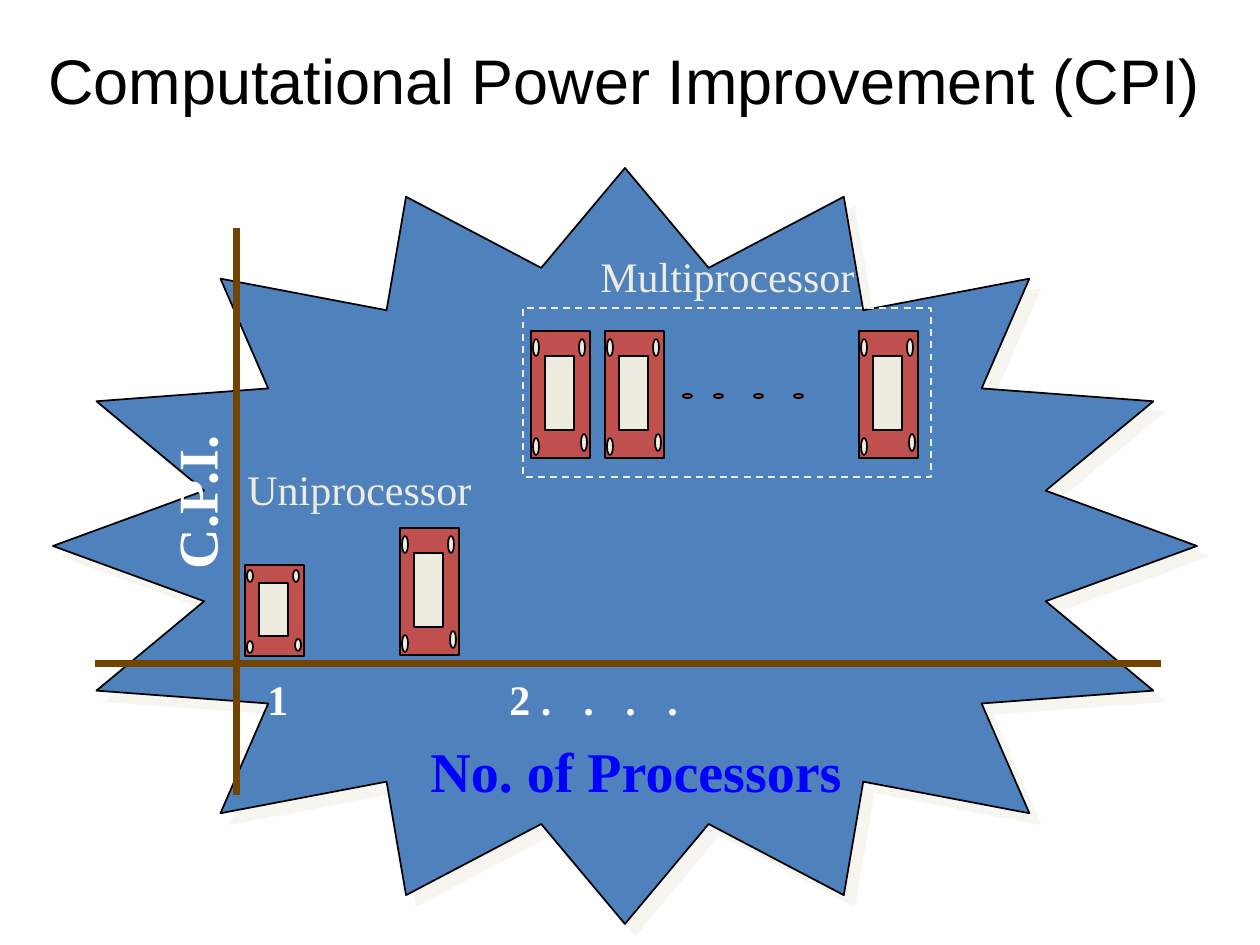
from lxml import etree
from pptx import Presentation
from pptx.dml.color import RGBColor
from pptx.enum.dml import MSO_LINE
from pptx.enum.shapes import MSO_CONNECTOR, MSO_SHAPE
from pptx.enum.text import MSO_ANCHOR, MSO_AUTO_SIZE, PP_ALIGN
from pptx.oxml.ns import qn
from pptx.util import Pt

STAR, RECT, OVAL = MSO_SHAPE.STAR_16_POINT, MSO_SHAPE.RECTANGLE, MSO_SHAPE.OVAL
LINE, DASH = MSO_CONNECTOR.STRAIGHT, MSO_LINE.DASH
MIDDLE, CENTER = MSO_ANCHOR.MIDDLE, PP_ALIGN.CENTER
GROW, FIXED = MSO_AUTO_SIZE.SHAPE_TO_FIT_TEXT, MSO_AUTO_SIZE.NONE

SCALE = 914400 / 126
SERIF = "Times New Roman"
COLOR = {"star": "4F81BD", "chip": "C0504D", "pale": "EEECE1", "axis": "714400",
         "blue": "0000FF", "white": "FFFFFF", "black": "000000"}


def px(n):
    return round(n * SCALE)


def rgb(name):
    return RGBColor.from_string(COLOR[name])


def add_shape(shapes, kind, x, y, w, h, fill=None, line="black"):
    shape = shapes.add_shape(kind, px(x), px(y), px(w), px(h))
    shape.shadow.inherit = False
    if fill:
        shape.fill.solid()
        shape.fill.fore_color.rgb = rgb(fill)
    else:
        shape.fill.background()
    shape.line.color.rgb = rgb(line)
    shape.line.width = Pt(1)
    return shape


def add_text(slide, text, x, y, w, h, color, size=24, bold=False, name=SERIF,
             wrap=False):
    box = slide.shapes.add_textbox(px(x), px(y), px(w), px(h))
    frame = box.text_frame
    frame.word_wrap = wrap
    frame.auto_size = FIXED if wrap else GROW
    run = frame.paragraphs[0].add_run()
    run.text = text
    style = {"name": name, "size": Pt(size), "bold": bold}
    for key, value in style.items():
        setattr(run.font, key, value)
    run.font.color.rgb = rgb(color)
    return box


def add_tabs(para, stops):
    tabs = etree.SubElement(para._p.get_or_add_pPr(), qn("a:tabLst"))
    for stop in stops:
        etree.SubElement(tabs, qn("a:tab"), pos=str(px(stop)), algn="l")


def add_star(slide, x, y, w, h):
    star = add_shape(slide.shapes, STAR, x, y, w, h, "star")
    star.adjustments[0] = 0.375
    effects = star._element.spPr.find(qn("a:effectLst"))
    cast = etree.SubElement(effects, qn("a:outerShdw"), dist=str(Pt(8.5)),
                            dir="2700000", algn="ctr", rotWithShape="0")
    tint = etree.SubElement(cast, qn("a:srgbClr"), val=COLOR["pale"])
    etree.SubElement(tint, qn("a:alpha"), val="50000")


def add_axis(slide, x1, y1, x2, y2):
    axis = slide.shapes.add_connector(LINE, px(x1), px(y1), px(x2), px(y2))
    axis.line.color.rgb = rgb("axis")
    axis.line.width = Pt(4)
    etree.SubElement(axis._element.spPr, qn("a:effectLst"))


def add_axes(slide, x, y, w, h):
    add_axis(slide, x + 142, y + h, x + 142, y)
    add_axis(slide, x, y + 436, x + w, y + 436)
    # Axis names and scale
    add_text(slide, "No. of Processors", x + 323, y + 502, 437, 79, "blue", 32, True)
    side = add_text(slide, "C.P.I.", x + 18, y + 232, 164, 79, "white", 32, True)
    side.rotation = 270
    # The box is wide enough to hold the last tab stop on one line
    marks = add_text(slide, "1\t2 .\t.\t.\t.", x + 160, y + 439, 480, 63,
                     "white", bold=True, wrap=True)
    add_tabs(marks.text_frame.paragraphs[0], [242, 316, 358, 400])


def add_title(slide, x, y, w, h):
    box = add_text(slide, "Computational Power Improvement (CPI)", x, y, w, h,
                   "black", 36, name="Arial", wrap=True)
    frame = box.text_frame
    frame.vertical_anchor = MIDDLE
    frame.paragraphs[0].alignment = CENTER


def add_chip(slide, x, y, w, h):
    parts = slide.shapes.add_group_shape().shapes
    add_shape(parts, RECT, x, y, w, h, "chip")
    add_shape(parts, RECT, x + 14, y + round(0.2 * h), 29, round(0.58 * h), "pale")
    # Corner holes: left offset, top as a share of the height
    for dx, part in ((48, 0.06), (50, 0.81), (2, 0.06), (2, 0.84)):
        add_shape(parts, OVAL, x + dx, y + round(part * h), 6, round(0.13 * h), "pale")


def add_uni(slide, x, y):
    add_chip(slide, x + 10, y + 108, 59, 91)
    add_chip(slide, x + 165, y + 71, 59, 127)
    add_text(slide, "Uniprocessor", x, y, 249, 63, "pale")


def add_multi(slide, x, y, w, h):
    for dx in (8, 82, 336):
        add_chip(slide, x + dx, y + 23, 59, 127)
    # Dots between the chips
    dots = slide.shapes.add_group_shape().shapes
    for dx in (160, 191, 231, 271):
        add_shape(dots, OVAL, x + dx, y + 86, 9, 4, "chip")
    frame = add_shape(slide.shapes, RECT, x, y, w, h, line="pale")
    frame.line.dash_style = DASH
    add_text(slide, "Multiprocessor", x + 65, y - 64, 280, 63, "pale")


def main():
    deck = Presentation()
    deck.slide_width, deck.slide_height = px(1260), px(945)
    slide = deck.slides.add_slide(deck.slide_layouts[6])
    add_star(slide, 53, 168, 1144, 756)
    add_axes(slide, 95, 228, 1066, 567)
    add_title(slide, 21, 21, 1207, 116)
    add_uni(slide, 235, 457)
    add_multi(slide, 523, 308, 408, 169)
    deck.save("out.pptx")


if __name__ == "__main__":
    main()
